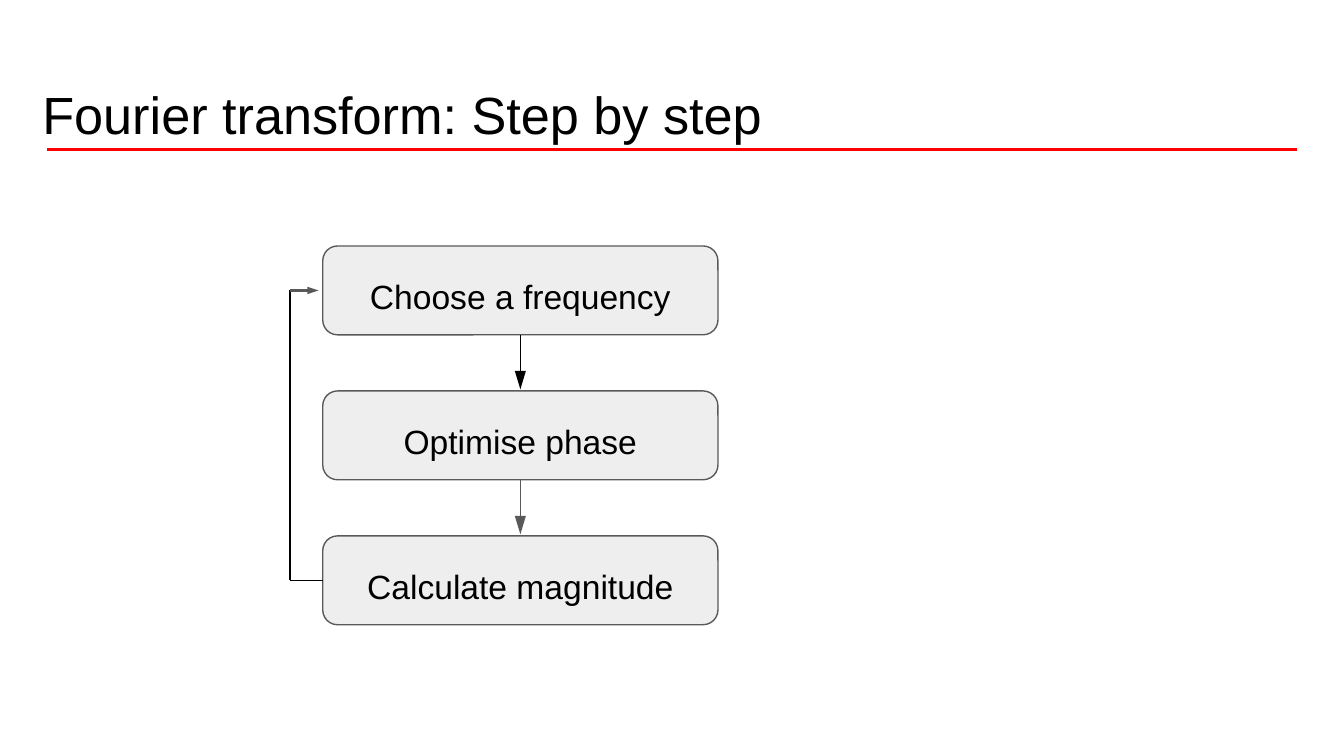
from lxml import etree
from pptx import Presentation
from pptx.dml.color import RGBColor
from pptx.enum.shapes import MSO_CONNECTOR as LINE, MSO_SHAPE as SHAPE
from pptx.enum.text import MSO_ANCHOR as ANCHOR, MSO_AUTO_SIZE as FIT, PP_ALIGN as ALIGN
from pptx.oxml.ns import qn
from pptx.util import Cm, Pt

COLORS = {"text": "000000", "rule": "FF0000", "box": "EEEEEE", "outline": "595959"}
STEPS = ["Choose a frequency", "Optimise phase", "Calculate magnitude"]
ARROW_COLORS = ["text", "outline"]

BOX_LEFT, BOX_TOP = 6.1, 4.65
BOX_WIDTH, BOX_HEIGHT = 7.47, 1.68
STEP_PITCH = 2.74
LOOP_LEFT = 5.48


def rgb(name):
    return RGBColor.from_string(COLORS[name])


class StepSlide:
    font = "Arial"

    def __init__(self, deck):
        self.slide = deck.slides.add_slide(deck.slide_layouts[5])

    def set_text(self, shape, text, size, align, top_inset):
        frame = shape.text_frame
        frame.text = text
        frame.auto_size = FIT.NONE
        frame.margin_left = frame.margin_right = frame.margin_bottom = 0
        frame.margin_top = Cm(top_inset)
        paragraph = frame.paragraphs[0]
        paragraph.alignment = align
        font = paragraph.runs[0].font
        font.name, font.size = self.font, Pt(size)
        font.color.rgb = rgb("text")

    def title(self, text, left, top, width, height):
        heading = self.slide.shapes.title
        heading.left, heading.top = Cm(left), Cm(top)
        heading.width, heading.height = Cm(width), Cm(height)
        self.set_text(heading, text, 28, ALIGN.LEFT, 0.14)
        heading.text_frame.vertical_anchor = ANCHOR.TOP
        heading.text_frame.word_wrap = False

    def step(self, text, top):
        box = self.slide.shapes.add_shape(
            SHAPE.ROUNDED_RECTANGLE, Cm(BOX_LEFT), Cm(top), Cm(BOX_WIDTH), Cm(BOX_HEIGHT))
        box.shadow.inherit = False
        box.fill.solid()
        box.fill.fore_color.rgb = rgb("box")
        box.line.color.rgb = rgb("outline")
        box.line.width = Pt(0.75)
        self.set_text(box, text, 18, ALIGN.CENTER, 0.21)
        box.text_frame.vertical_anchor = ANCHOR.MIDDLE

    def line(self, start, end, color, width=0.75, head=None):
        """Draw a straight line; head is the (width, length) of its arrowhead."""
        connector = self.slide.shapes.add_connector(
            LINE.STRAIGHT, *(Cm(value) for value in (*start, *end)))
        connector.line.color.rgb = rgb(color)
        connector.line.width = Pt(width)
        properties = connector._element.spPr
        etree.SubElement(properties, qn("a:effectLst"))
        if head:
            etree.SubElement(properties.find(qn("a:ln")), qn("a:tailEnd"),
                             type="triangle", w=head[0], len=head[1])


def main():
    deck = Presentation()
    deck.slide_width, deck.slide_height = Cm(25.4), Cm(14.29)
    page = StepSlide(deck)
    page.title("Fourier transform: Step by step", 0.8, 1.42, 13.64, 1.25)
    page.line((0.89, 2.82), (24.52, 2.82), "rule", 1.5)

    tops = [BOX_TOP + i * STEP_PITCH for i in range(len(STEPS))]
    for text, top in zip(STEPS, tops):
        page.step(text, top)

    center = BOX_LEFT + BOX_WIDTH / 2
    for color, top, next_top in zip(ARROW_COLORS, tops, tops[1:]):
        page.line((center, top + BOX_HEIGHT), (center, next_top - 0.03), color,
                  head=("med", "lg"))

    first, last = (top + BOX_HEIGHT / 2 for top in (tops[0], tops[-1]))
    page.line((BOX_LEFT, last), (LOOP_LEFT, last), "text")
    page.line((LOOP_LEFT, last), (LOOP_LEFT, first), "text")
    page.line((LOOP_LEFT, first), (BOX_LEFT - 0.08, first), "outline", 1.6,
              head=("sm", "med"))
    deck.save("out.pptx")


if __name__ == "__main__":
    main()
